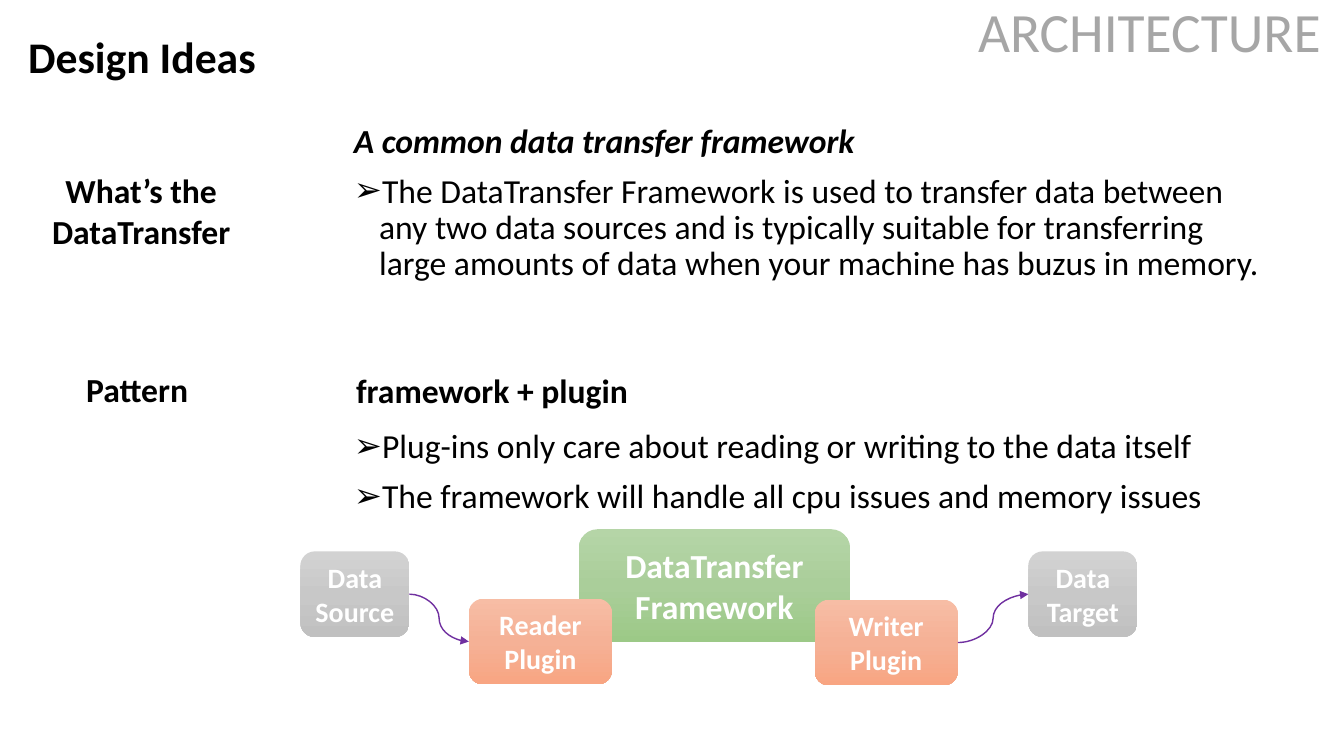
from copy import deepcopy
from dataclasses import dataclass
from typing import Optional

from lxml.etree import SubElement
from pptx import Presentation
from pptx.dml.color import RGBColor
from pptx.enum.shapes import MSO_CONNECTOR as Connector, MSO_SHAPE as Preset
from pptx.enum.text import MSO_ANCHOR as Anchor, MSO_AUTO_SIZE as AutoSize, PP_ALIGN as Align
from pptx.oxml.ns import qn
from pptx.util import Inches, Pt


@dataclass(frozen=True)
class Theme:
    font: str = "Calibri"
    ink: str = "000000"
    paper: str = "FFFFFF"
    arrow: str = "7030A0"
    green: tuple = ("B5D5A7", "AACE9A", "9CC987")
    orange: tuple = ("F7BDA5", "F5B196", "F8A582")
    gray: tuple = ("D2D2D2", "C8C8C8", "C0C0C0")
    banner: float = 39.6
    heading: float = 31.2
    body: float = 24
    small: float = 20


THEME = Theme()


@dataclass(frozen=True)
class Box:
    left: float
    top: float
    width: float
    height: float

    def lengths(self) -> tuple:
        return tuple(Inches(v) for v in (self.left, self.top, self.width, self.height))


@dataclass(frozen=True)
class Line:
    text: str
    bold: bool = False
    italic: bool = False
    bullet: Optional[str] = None


@dataclass(frozen=True)
class Node:
    lines: tuple
    box: Box
    colors: tuple
    size: float = THEME.small


@dataclass(frozen=True)
class Label:
    text: str
    box: Box


def write(shape, lines, *, size=THEME.body, color=THEME.ink, align=Align.LEFT,
          anchor=Anchor.TOP, spacing=1.0, before=0):
    """Fill a shape with formatted paragraphs and return its runs."""
    frame = shape.text_frame
    frame.word_wrap = True
    frame.auto_size = AutoSize.NONE
    frame.vertical_anchor = anchor
    runs = []
    for index, line in enumerate(lines):
        paragraph = frame.add_paragraph() if index else frame.paragraphs[0]
        properties = paragraph._p.get_or_add_pPr()
        indent = Inches(0.25) if line.bullet else 0
        properties.set("marL", str(indent))
        properties.set("indent", str(-indent))
        if line.bullet:
            SubElement(properties, qn("a:buChar"), char=line.bullet)
        else:
            SubElement(properties, qn("a:buNone"))
        paragraph.alignment = align
        paragraph.line_spacing = spacing
        paragraph.space_before = Pt(before if index else 0)
        run = paragraph.add_run()
        run.text = line.text
        run.font.name = THEME.font
        run.font.size = Pt(size)
        run.font.bold = line.bold
        run.font.italic = line.italic
        run.font.color.rgb = RGBColor.from_string(color)
        runs.append(run)
    return runs


def place(shape, box: Box) -> None:
    shape.left, shape.top, shape.width, shape.height = box.lengths()


def paint_white(shape) -> None:
    shape.fill.solid()
    shape.fill.fore_color.rgb = RGBColor.from_string(THEME.paper)


def add_label(slide, label: Label) -> None:
    shape = slide.shapes.add_textbox(*label.box.lengths())
    write(shape, [Line(label.text, bold=True)], align=Align.CENTER)


def add_node(slide, node: Node):
    shape = slide.shapes.add_shape(Preset.ROUNDED_RECTANGLE, *node.box.lengths())
    shape.shadow.inherit = False
    shape.line.fill.background()
    shape.fill.gradient()
    shape.fill.gradient_angle = 270
    stop_list = shape._element.spPr.find(qn("a:gradFill")).find(qn("a:gsLst"))
    stop_list.insert(1, deepcopy(stop_list[0]))
    for index, (stop, color) in enumerate(zip(shape.fill.gradient_stops, node.colors)):
        stop.position = index / 2
        stop.color.rgb = RGBColor.from_string(color)
    write(shape, [Line(text, bold=True) for text in node.lines], size=node.size,
          color=THEME.paper, align=Align.CENTER, anchor=Anchor.MIDDLE)
    return shape


def add_arrow(slide, start, end) -> None:
    connector = slide.shapes.add_connector(Connector.CURVE, 0, 0, 0, 0)
    connector.begin_connect(start, 3)
    connector.end_connect(end, 1)
    connector.line.color.rgb = RGBColor.from_string(THEME.arrow)
    connector.line.width = Pt(1)
    SubElement(connector.line._get_or_add_ln(), qn("a:tailEnd"), type="triangle")
    SubElement(connector._element.spPr, qn("a:effectLst"))


LABELS = (
    Label("What’s the DataTransfer", Box(0.3, 1.64, 2.2, 0.91)),
    Label("Pattern", Box(0.36, 3.61, 2, 0.5)),
    Label("framework + plugin", Box(3.42, 3.62, 2.92, 0.5)),
)
LISTS = (
    (Box(3.41, 1.18, 9.22, 1.83), (
        Line("A common data transfer framework", bold=True, italic=True),
        Line("The DataTransfer Framework is used to transfer data between any two data "
             "sources and is typically suitable for transferring large amounts of data "
             "when your machine has buzus in memory.", bullet="➢"))),
    (Box(3.41, 4.21, 9.22, 1.12), (
        Line("Plug-ins only care about reading or writing to the data itself", bullet="➢"),
        Line("The framework will handle all cpu issues and memory issues", bullet="➢"))),
)
FRAMEWORK = Node(("DataTransfer", "Framework"), Box(5.74, 5.25, 2.69, 1.12),
                 THEME.green, THEME.body)
READER = Node(("Reader", "Plugin"), Box(4.65, 5.94, 1.42, 0.85), THEME.orange)
WRITER = Node(("Writer", "Plugin"), Box(8.08, 5.95, 1.42, 0.85), THEME.orange)
SOURCE = Node(("Data Source",), Box(2.98, 5.47, 1.08, 0.85), THEME.gray)
TARGET = Node(("Data Target",), Box(10.2, 5.47, 1.08, 0.85), THEME.gray)


def main() -> None:
    presentation = Presentation()
    presentation.slide_width, presentation.slide_height = Inches(13.33), Inches(7.5)
    slide = presentation.slides.add_slide(presentation.slide_layouts[3])
    title, *bodies = slide.placeholders

    # Section banner
    place(title, Box(9.6, -0.01, 3.74, 0.7))
    paint_white(title)
    banner, = write(title, [Line("ARCHITECTURE")], size=THEME.banner,
                    anchor=Anchor.MIDDLE, spacing=0.9)
    color = banner.font._element.find(qn("a:solidFill"))[0]
    SubElement(color, qn("a:alpha"), val="35000")

    # Heading
    heading = slide.shapes.add_textbox(*Box(0.18, 0.18, 4.24, 0.82).lengths())
    paint_white(heading)
    write(heading, [Line("Design Ideas", bold=True)], size=THEME.heading,
          anchor=Anchor.MIDDLE, spacing=0.9)

    # Labels and lists
    for label in LABELS:
        add_label(slide, label)
    for body, (box, lines) in zip(bodies, LISTS):
        place(body, box)
        write(body, lines, spacing=0.9, before=10)

    # Data flow diagram
    add_node(slide, FRAMEWORK)
    reader, writer, source, target = (
        add_node(slide, node) for node in (READER, WRITER, SOURCE, TARGET))
    add_arrow(slide, source, reader)
    add_arrow(slide, writer, target)

    presentation.save("out.pptx")


if __name__ == "__main__":
    main()
